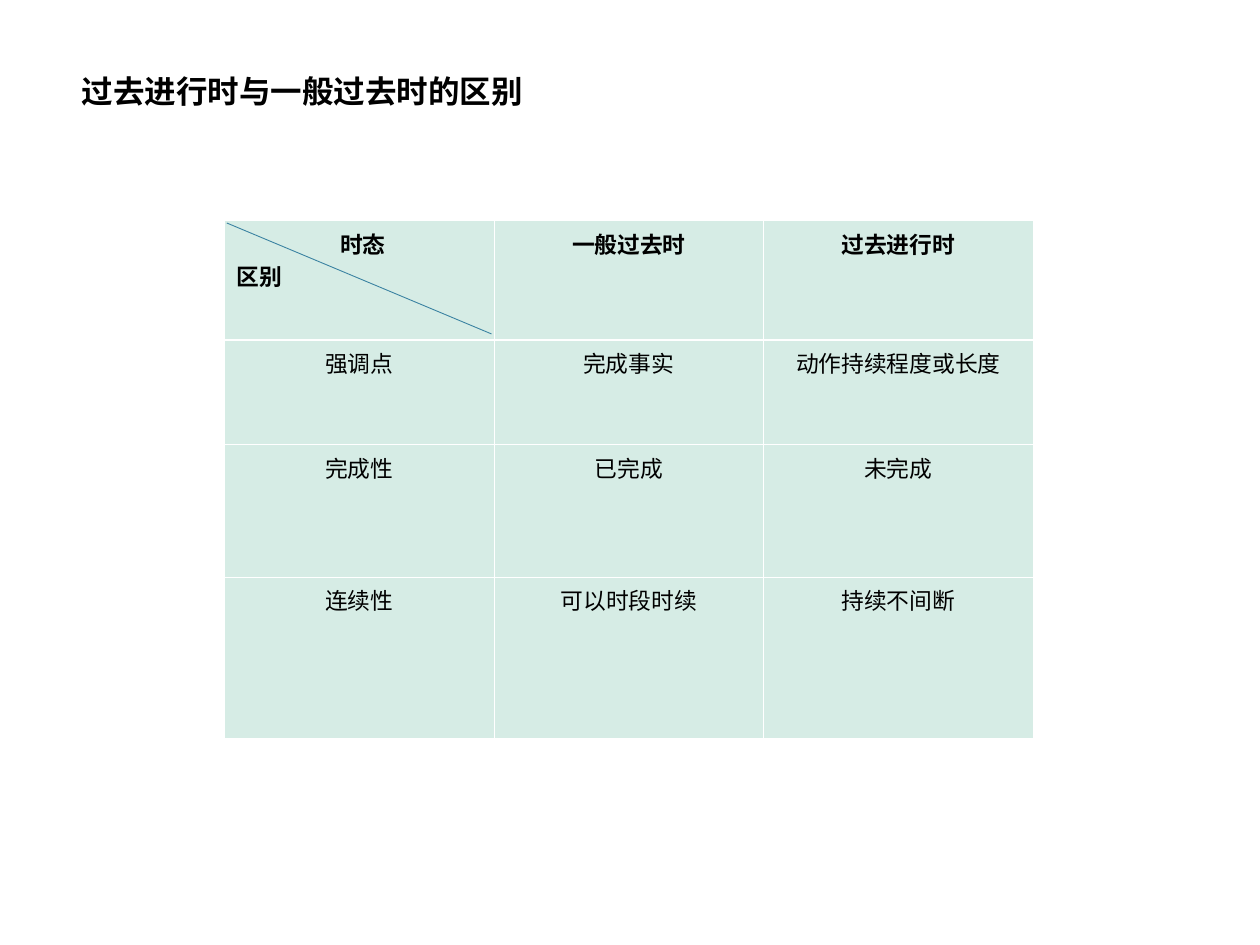
from lxml.etree import SubElement
from pptx import Presentation
from pptx.dml.color import RGBColor
from pptx.enum.shapes import MSO_CONNECTOR
from pptx.enum.text import MSO_ANCHOR, PP_ALIGN
from pptx.oxml.ns import qn
from pptx.util import Inches, Pt


def color(hex_code):
    return RGBColor.from_string(hex_code)


class SlideBuilder:
    font = "Arial"
    ink = "000000"
    cell_fill = "D6ECE5"
    border = "FFFFFF"
    accent = "3A82A1"
    thin, thick = 0.45, 1.47

    def __init__(self, slide):
        self.slide = slide

    def add_text(self, paragraph, text, size, bold=False, align=PP_ALIGN.LEFT):
        paragraph.alignment = align
        run = paragraph.add_run()
        run.text = text
        run.font.name = self.font
        run.font.size = Pt(size)
        run.font.bold = bold
        run.font.color.rgb = color(self.ink)

    def title(self, text, left, top, width, height):
        box = self.slide.shapes.add_textbox(
            Inches(left), Inches(top), Inches(width), Inches(height))
        frame = box.text_frame
        frame.word_wrap = True
        frame.vertical_anchor = MSO_ANCHOR.MIDDLE
        self.add_text(frame.paragraphs[0], text, 18, bold=True)

    def cell_borders(self, cell, widths):
        properties = cell._tc.get_or_add_tcPr()
        for position, (side, width) in enumerate(widths.items()):
            line = properties.makeelement(qn(f"a:{side}"), {"w": str(Pt(width))})
            fill = SubElement(line, qn("a:solidFill"))
            SubElement(fill, qn("a:srgbClr"), val=self.border)
            properties.insert(position, line)

    def table(self, rows, left, top, column_width, row_heights):
        columns = len(rows[0])
        table = self.slide.shapes.add_table(
            len(rows), columns, Inches(left), Inches(top),
            Inches(column_width * columns), Inches(sum(row_heights))).table
        for column in table.columns:
            column.width = Inches(column_width)
        for row, height in zip(table.rows, row_heights):
            row.height = Inches(height)
        for r, row in enumerate(rows):
            for c, text in enumerate(row):
                cell = table.cell(r, c)
                cell.fill.solid()
                cell.fill.fore_color.rgb = color(self.cell_fill)
                self.cell_borders(cell, {
                    "lnL": self.thin,
                    "lnR": self.thin,
                    "lnT": self.thick if r == 1 else self.thin,
                    "lnB": self.thick if r == 0 else self.thin,
                })
                if text:
                    self.add_text(cell.text_frame.paragraphs[0], text, 13,
                                  bold=r == 0, align=PP_ALIGN.CENTER)
        return table

    def split_header(self, cell, column_label, row_label, indent):
        upper = cell.text_frame.paragraphs[0]
        upper._p.get_or_add_pPr().set("marL", str(Inches(indent)))
        self.add_text(upper, column_label, 13, bold=True)
        self.add_text(cell.text_frame.add_paragraph(), row_label, 13, bold=True)

    def line(self, x1, y1, x2, y2):
        connector = self.slide.shapes.add_connector(
            MSO_CONNECTOR.STRAIGHT,
            Inches(x1), Inches(y1), Inches(x2), Inches(y2))
        connector.line.color.rgb = color(self.accent)
        connector.line.width = Pt(0.5)
        SubElement(connector._element.spPr, qn("a:effectLst"))


def main():
    presentation = Presentation()
    presentation.slide_width = Inches(10)
    presentation.slide_height = Inches(7.5)
    builder = SlideBuilder(
        presentation.slides.add_slide(presentation.slide_layouts[6]))

    builder.title("过去进行时与一般过去时的区别", 0.55, 0.48, 8.9, 0.48)
    tense_rows = [
        ("", "一般过去时", "过去进行时"),
        ("强调点", "完成事实", "动作持续程度或长度"),
        ("完成性", "已完成", "未完成"),
        ("连续性", "可以时段时续", "持续不间断"),
    ]
    comparison = builder.table(
        tense_rows, 1.78, 1.75, 2.14, [0.95, 0.83, 1.05, 1.28])
    builder.split_header(comparison.cell(0, 0), "时态", "区别", 0.82)
    builder.line(1.8, 1.77, 3.9, 2.65)

    presentation.save("out.pptx")


if __name__ == "__main__":
    main()
